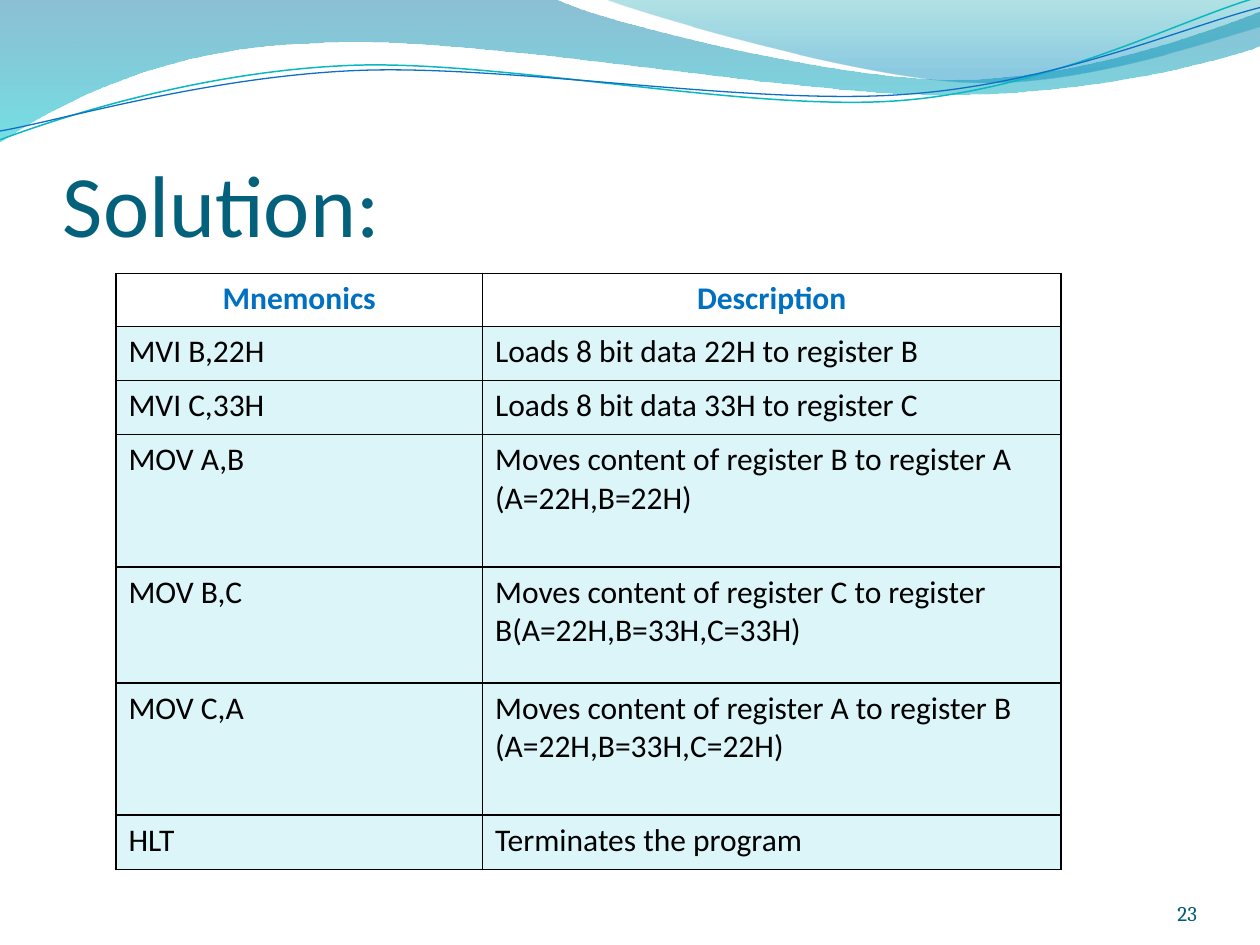
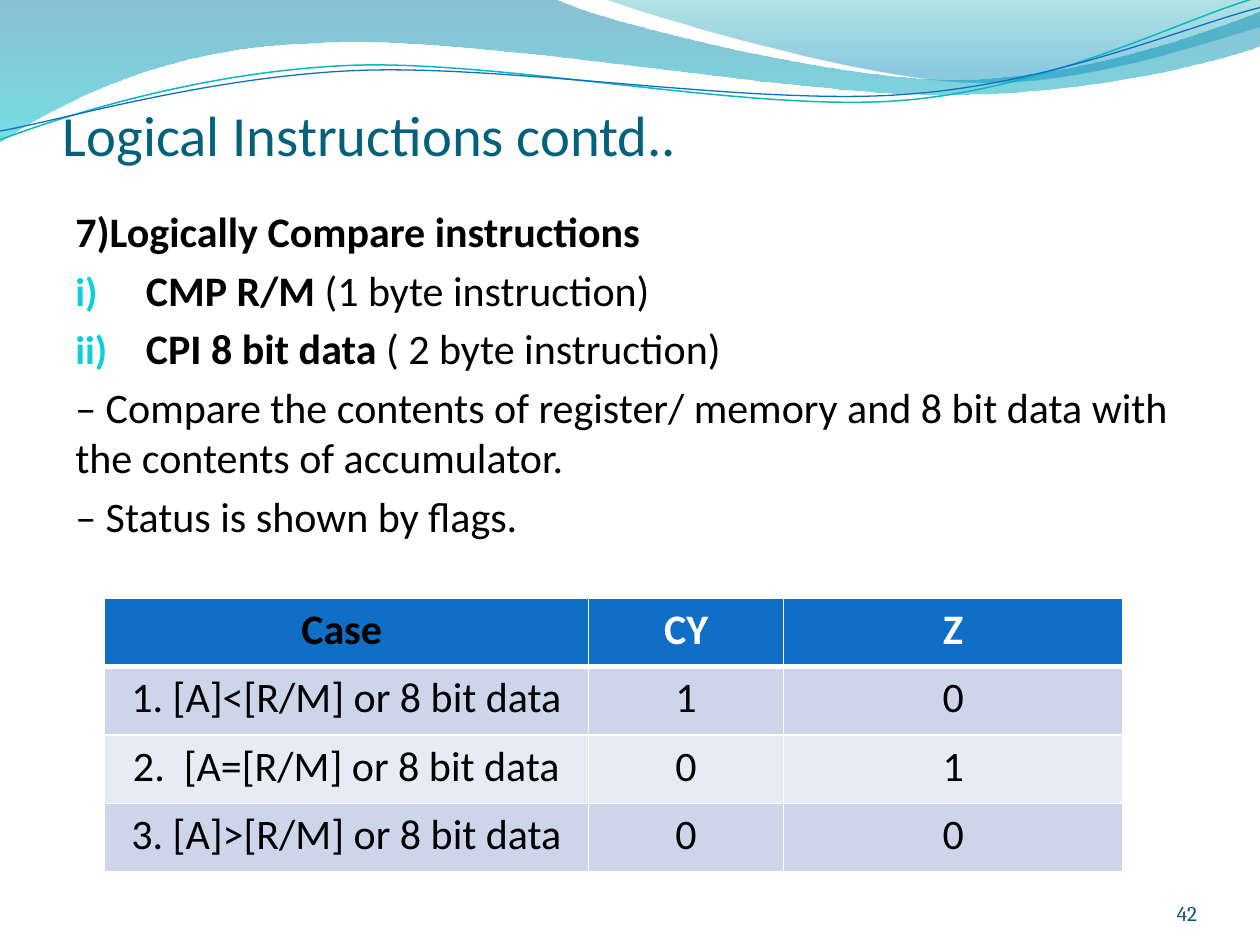
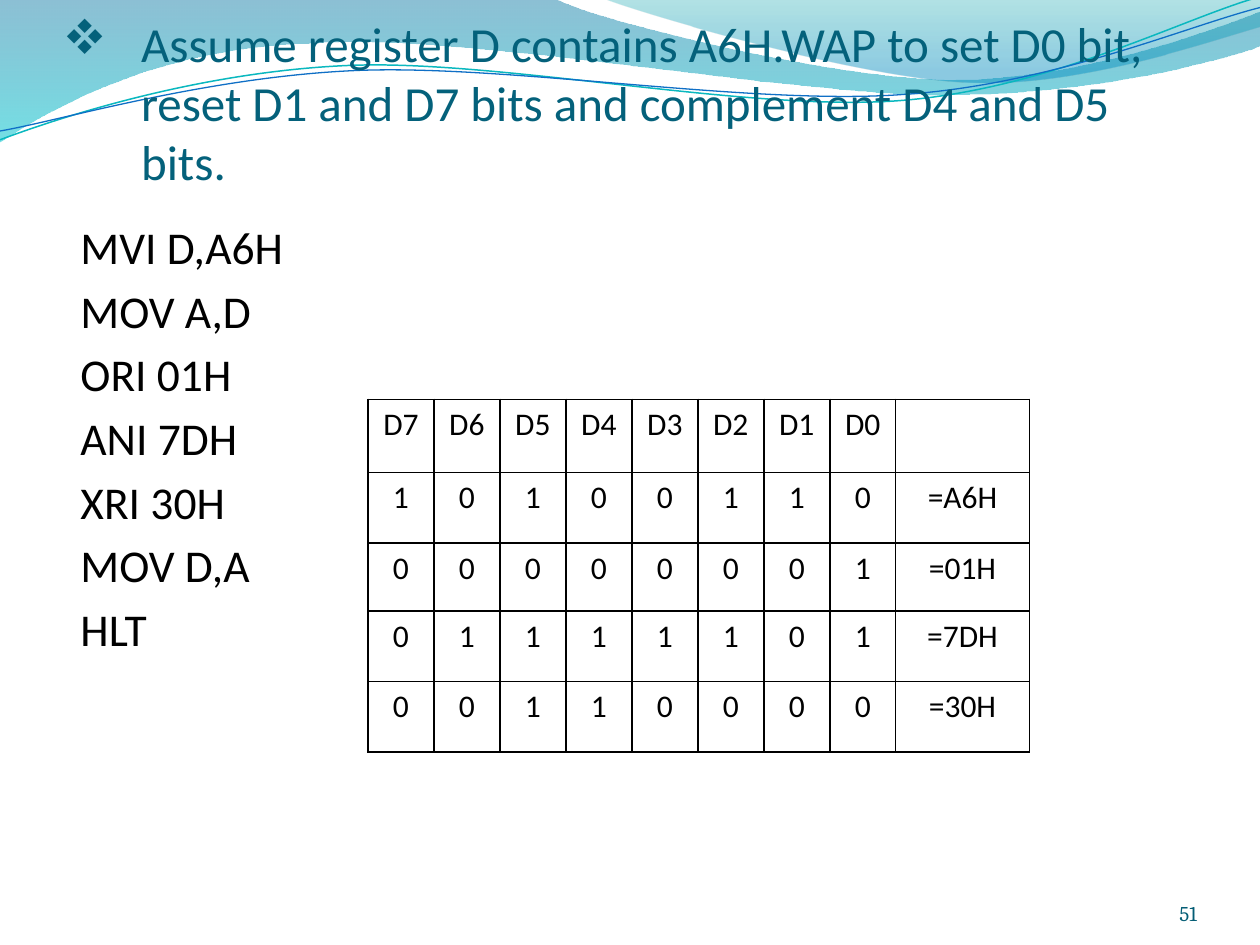
from lxml import etree
from pptx import Presentation, util as u
from pptx.dml.color import RGBColor
from pptx.enum import text
from pptx.oxml import ns

TITLE, PAGE, BLACK, WHITE = "04617B", "045D75", "000000", "FFFFFF"
BLUE, AQUA, PALE = "0F6FC6", "0BD0D9", "DBF5F9"
LEFT, CENTER, RIGHT = text.PP_ALIGN.LEFT, text.PP_ALIGN.CENTER, text.PP_ALIGN.RIGHT


def rgb(value):
    return RGBColor.from_string(value)


def write(frame, paragraphs, size, color, align=LEFT, before=0, font="Calibri"):
    frame.word_wrap = True
    for index, runs in enumerate(paragraphs):
        paragraph = frame.add_paragraph() if index else frame.paragraphs[0]
        paragraph.alignment = align
        paragraph.space_before = u.Pt(before)
        for words, bold in runs:
            run = paragraph.add_run()
            run.text = words
            run.font.name = font
            run.font.size = u.Pt(size)
            run.font.bold = bold
            run.font.color.rgb = rgb(color)


deck = Presentation()
deck.slide_width, deck.slide_height = u.Inches(10), u.Inches(7.5)
blank = deck.slide_layouts[6]
solution, logical, register = [deck.slides.add_slide(blank) for _ in range(3)]

broad_wave = [
    (0, 0), (4.4, -0.01),
    (4.76, 0.17, 6.64, 0.63, 7.58, 0.63), (8.53, 0.63, 9.58, 0.26, 10, 0.09),
    (10.01, 0.36),
    (9.83, 0.44, 8.7, 0.76, 7.46, 0.75), (6.22, 0.75, 3.82, 0.28, 2.57, 0.34),
    (1.29, 0.36, 0.46, 0.83, -0.01, 1.13), (0, 0),
]
right_wave = [
    (4.79, -0.01), (5.09, 0.11, 6.82, 0.62, 7.69, 0.65),
    (8.56, 0.69, 9.61, 0.32, 10, 0.21), (10, 0), (4.79, -0.01),
]
teal_strand = [
    (0, 1.11), (0.48, 0.93, 1.58, 0.57, 2.77, 0.52),
    (3.95, 0.47, 5.93, 0.89, 7.13, 0.8), (8.33, 0.71, 9.38, 0.15, 9.98, -0.02),
]
blue_strand = [
    (0, 1.04), (0.47, 0.96, 1.64, 0.61, 2.83, 0.56),
    (4.03, 0.51, 5.97, 0.84, 7.17, 0.75), (8.36, 0.67, 9.41, 0.21, 10, 0.06),
]
waves = [
    (broad_wave, [(0, "0074A1", 45), (1, "00C6CF", 55)], None),
    (right_wave, [(0, "00A1A9", 30), (0.8, "008BBF", 45)], None),
    (teal_strand, None, ("0AB8BF", 0.85)),
    (blue_strand, None, (BLUE, 0.75)),
]
for outline, gradient, stroke in waves:
    points = [(u.Inches(x), u.Inches(y)) for segment in outline
              for x, y in zip(segment[::2], segment[1::2])]
    builder = solution.shapes.build_freeform(*points[0], scale=1.0)
    builder.add_line_segments(points[1:], close=gradient is not None)
    wave = builder.convert_to_shape()
    wave.shadow.inherit = False
    straight = iter(list(wave.element.spPr.iter(ns.qn("a:lnTo"))))
    for segment in outline[1:]:
        pieces = [next(straight) for _ in segment[::2]]
        if len(pieces) == 3:
            curve = etree.Element(ns.qn("a:cubicBezTo"))
            pieces[0].addprevious(curve)
            for piece in pieces:
                curve.append(piece[0])
                piece.getparent().remove(piece)
    if gradient:
        wave.line.fill.background()
        wave.fill.gradient()
        wave.fill.gradient_angle = 270
        for stop, (position, color, alpha) in zip(wave.fill.gradient_stops, gradient):
            stop.position = position
            stop.color.rgb = rgb(color)
        for node, (_, _, alpha) in zip(wave.element.spPr.iter(ns.qn("a:srgbClr")), gradient):
            etree.SubElement(node, ns.qn("a:alpha"), val=str(alpha * 1000))
    else:
        wave.fill.background()
        wave.line.color.rgb = rgb(stroke[0])
        wave.line.width = u.Pt(stroke[1])
    deck.slide_master.shapes.element.append(wave.element)

question = ("Assume register D contains A6H.WAP to set D0 bit, "
            "reset D1 and D7 bits and complement D4 and D5 bits.")
headings = [
    (solution, "Solution:", 50, 0.77, 1.25, "23"),
    (logical, "Logical Instructions contd..", 32.4, 0.77, 0.56, "42"),
    (register, question, 28, 0.26, 1.25, "51"),
]
titles = []
for slide, heading, size, top, height, number in headings:
    title = slide.shapes.add_textbox(u.Inches(0.5), u.Inches(top), u.Inches(9), u.Inches(height))
    page = slide.shapes.add_textbox(u.Inches(8.67), u.Inches(6.95), u.Inches(0.83), u.Inches(0.4))
    for box in (title, page):
        frame = box.text_frame
        frame.vertical_anchor = text.MSO_ANCHOR.BOTTOM
        frame.margin_left = frame.margin_right = frame.margin_bottom = 0
    page.text_frame.margin_top = 0
    write(title.text_frame, [[(heading, False)]], size, TITLE)
    write(page.text_frame, [[(number, False)]], 12, PAGE, RIGHT, font="Cambria")
    titles.append(title.text_frame)

compare = [
    [("7)Logically Compare instructions", True)],
    [("CMP R/M ", True), ("(1 byte instruction)", False)],
    [("CPI 8 bit data ", True), ("( 2 byte instruction)", False)],
    [("– Compare the contents of register/ memory and 8 bit data "
      "with the contents of accumulator.", False)],
    [("– Status is shown by flags.", False)],
]
program = [[(line, False)] for line in
           ("MVI D,A6H", "MOV A,D", "ORI 01H", "ANI 7DH", "XRI 30H", "MOV D,A", "HLT")]
bodies = []
for slide, lines, size, left, top, height in [
    (logical, compare, 24, 0.5, 1.58, 5.33),
    (register, program, 26, 0.54, 1.69, 5.08),
]:
    body = slide.shapes.add_textbox(u.Inches(left), u.Inches(top), u.Inches(9), u.Inches(height))
    write(body.text_frame, lines, size, BLACK, before=size * 0.2)
    bodies.append(body.text_frame)

for paragraph, indent, numbered in [
    (titles[2].paragraphs[0], 0.62, False),
    (bodies[0].paragraphs[1], 0.56, True),
    (bodies[0].paragraphs[2], 0.56, True),
]:
    properties = paragraph._p.get_or_add_pPr()
    properties.set("marL", str(u.Inches(indent)))
    properties.set("indent", str(-u.Inches(indent)))
    if numbered:
        tint = etree.SubElement(properties, ns.qn("a:buClr"))
        etree.SubElement(tint, ns.qn("a:srgbClr"), val=AQUA)
        etree.SubElement(properties, ns.qn("a:buSzPct"), val="95000")
        etree.SubElement(properties, ns.qn("a:buAutoNum"), type="romanLcParenR")
    else:
        etree.SubElement(properties, ns.qn("a:buFont"), typeface="Wingdings", charset="2")
        etree.SubElement(properties, ns.qn("a:buChar"), char="v")

mnemonics = [
    ("Mnemonics", "Description"),
    ("MVI B,22H", "Loads 8 bit data 22H to register B"),
    ("MVI C,33H", "Loads 8 bit data 33H to register C"),
    ("MOV A,B", "Moves content of register B to register A\n(A=22H,B=22H)"),
    ("MOV B,C", "Moves content of register C to register B(A=22H,B=33H,C=33H)"),
    ("MOV C,A", "Moves content of register A to register B\n(A=22H,B=33H,C=22H)"),
    ("HLT", "Terminates the program"),
]
flags = [
    ("Case ", "CY", "Z"),
    ("1. [A]<[R/M] or 8 bit data", "1", "0"),
    ("2.  [A=[R/M] or 8 bit data", "0", "1"),
    ("3. [A]>[R/M] or 8 bit data", "0", "0"),
]
bits = [[f"D{bit}" for bit in range(7, -1, -1)] + [""]]
bits += [[*f"{value:08b}", f"={value:02X}H"] for value in (0xA6, 0x01, 0x7D, 0x30)]

tables = [
    dict(slide=solution, left=0.92, top=2.17, rows=mnemonics, widths=[2.91, 4.59],
         heights=[0.42, 0.43, 0.43, 1.05, 0.92, 1.05, 0.43], size=18, align=LEFT,
         header=["0070C0"] * 2, bold=True, fills=[None] + [PALE] * 6, border=BLACK, rule=1),
    dict(slide=logical, left=0.83, top=4.75, rows=flags, widths=[3.84, 1.55, 2.69],
         heights=[2.17 / 4] * 4, size=24, align=CENTER, header=[BLACK, WHITE, WHITE], bold=True,
         fills=[BLUE, "CCD5EA", "E7EBF5", "CCD5EA"], border=WHITE, rule=3),
    dict(slide=register, left=2.92, top=3.17, rows=bits, widths=[(5.25 - 1.06) / 8] * 8 + [1.06],
         heights=[0.58, 0.56, 0.54, 0.56, 0.56], size=18, align=CENTER,
         header=[BLACK] * 9, bold=False, fills=[None] * 5, border=BLACK, rule=1),
]
for item in tables:
    widths, heights = item["widths"], item["heights"]
    grid = item["slide"].shapes.add_table(
        len(heights), len(widths), u.Inches(item["left"]), u.Inches(item["top"]),
        u.Inches(sum(widths)), u.Inches(sum(heights))).table
    grid.first_row = grid.horz_banding = False
    for column, width in zip(grid.columns, widths):
        column.width = u.Inches(width)
    for r, height in enumerate(heights):
        grid.rows[r].height = u.Inches(height)
        for c, words in enumerate(item["rows"][r]):
            cell = grid.cell(r, c)
            for side in "LRTB":
                heavy = (r, side) in ((0, "B"), (1, "T"))
                edge = etree.SubElement(cell._tc.get_or_add_tcPr(), ns.qn(f"a:ln{side}"),
                                        w=str(u.Pt(item["rule"] if heavy else 1)))
                paint = etree.SubElement(edge, ns.qn("a:solidFill"))
                etree.SubElement(paint, ns.qn("a:srgbClr"), val=item["border"])
            if item["fills"][r]:
                cell.fill.solid()
                cell.fill.fore_color.rgb = rgb(item["fills"][r])
            else:
                cell.fill.background()
            if words:
                write(cell.text_frame, [[(line, r == 0 and item["bold"])] for line in words.split("\n")],
                      item["size"], BLACK if r else item["header"][c],
                      item["align"] if r else CENTER)

deck.save("out.pptx")
